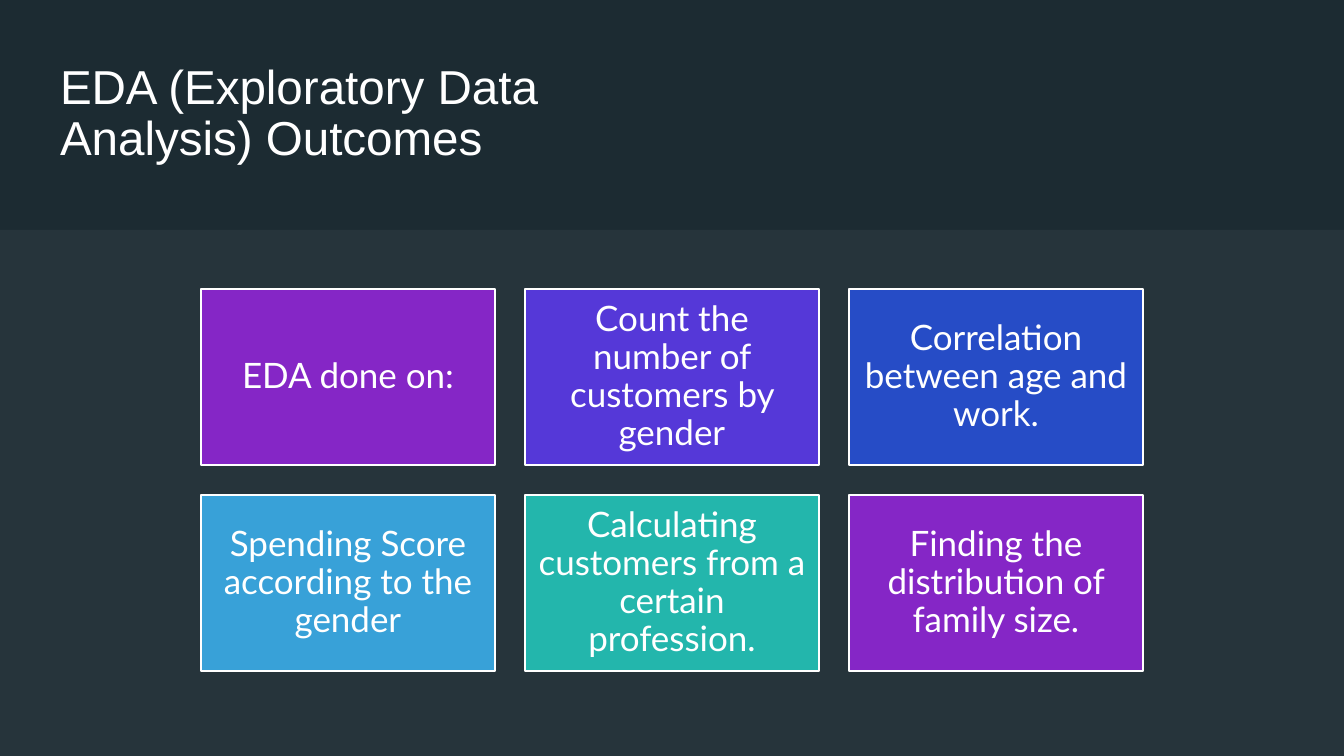
from lxml import etree
from pptx import Presentation
from pptx import util as u
from pptx.dml.color import RGBColor
from pptx.enum import shapes, text
from pptx.oxml.ns import qn

PX = 12192000 / 1344

DARK = RGBColor(0x1C, 0x2B, 0x32)
PALE = RGBColor(0xE3, 0xEC, 0xEF)
WHITE = RGBColor(0xFF, 0xFF, 0xFF)
PURPLE = RGBColor(0x85, 0x26, 0xC6)
VIOLET = RGBColor(0x55, 0x38, 0xD8)
BLUE = RGBColor(0x26, 0x4C, 0xC6)
SKY = RGBColor(0x38, 0xA1, 0xD8)
TEAL = RGBColor(0x23, 0xB6, 0xAC)


def px(*lengths):
    return [u.Emu(round(length * PX)) for length in lengths]


def add_rectangle(page, left, top, width, height, color):
    box = page.shapes.add_shape(shapes.MSO_SHAPE.RECTANGLE, *px(left, top, width, height))
    box.shadow.inherit = False
    box.fill.solid()
    box.fill.fore_color.rgb = color
    box.line.fill.background()
    return box


deck = Presentation()
deck.slide_width, deck.slide_height = px(1344, 756)
page = deck.slides.add_slide(deck.slide_layouts[5])
page.background.fill.solid()
page.background.fill.fore_color.rgb = DARK

# Backdrop, behind the title
backdrop = add_rectangle(page, 0, 0, 1344, 756, DARK)
title = page.shapes.title
backdrop.element.addnext(title.element)

# Title
title.left, title.top, title.width, title.height = px(60, 60, 805, 109)
frame = title.text_frame
frame.margin_left = frame.margin_right = frame.margin_top = frame.margin_bottom = 0
frame.vertical_anchor = text.MSO_ANCHOR.MIDDLE
frame.auto_size = text.MSO_AUTO_SIZE.NONE
para = frame.paragraphs[0]
para.add_run().text = "EDA (Exploratory Data"
para.add_line_break()
para.add_run().text = "Analysis) Outcomes"
para.alignment = text.PP_ALIGN.LEFT
para.line_spacing = 0.9
for span in para.runs:
    span.font.name = "Arial"
    span.font.size = u.Pt(34)
    span.font.color.rgb = WHITE

# Translucent panel below the title
panel = add_rectangle(page, 0, 230, 1344, 526, PALE)
panel_color = panel.fill._xPr.find(qn("a:solidFill"))[0]
etree.SubElement(panel_color, qn("a:alpha")).set("val", "5000")

# Outcome boxes, three to a row
outcomes = [
    ("EDA done on:", PURPLE),
    ("Count the number of customers by gender", VIOLET),
    ("Correlation between age and work.", BLUE),
    ("Spending Score according to the gender", SKY),
    ("Calculating customers from a certain profession.", TEAL),
    ("Finding the distribution of family size.", PURPLE),
]
BOX_WIDTH, BOX_HEIGHT, GAP = 294, 176, 30
for index, (outcome, color) in enumerate(outcomes):
    row, column = divmod(index, 3)
    left = 201 + column * (BOX_WIDTH + GAP)
    top = 289 + row * (BOX_HEIGHT + GAP)
    box = add_rectangle(page, left, top, BOX_WIDTH, BOX_HEIGHT, color)
    box.line.color.rgb = WHITE
    box.line.width = u.Pt(1)
    frame = box.text_frame
    frame.word_wrap = True
    frame.vertical_anchor = text.MSO_ANCHOR.MIDDLE
    frame.margin_left, frame.margin_top, frame.margin_right, frame.margin_bottom = px(10, 10, 10, 10)
    para = frame.paragraphs[0]
    para.text = outcome
    para.alignment = text.PP_ALIGN.CENTER
    para.line_spacing = 0.9
    para.font.name = "Lato"
    para.font.size = u.Pt(25)
    para.font.color.rgb = WHITE

deck.save("out.pptx")
